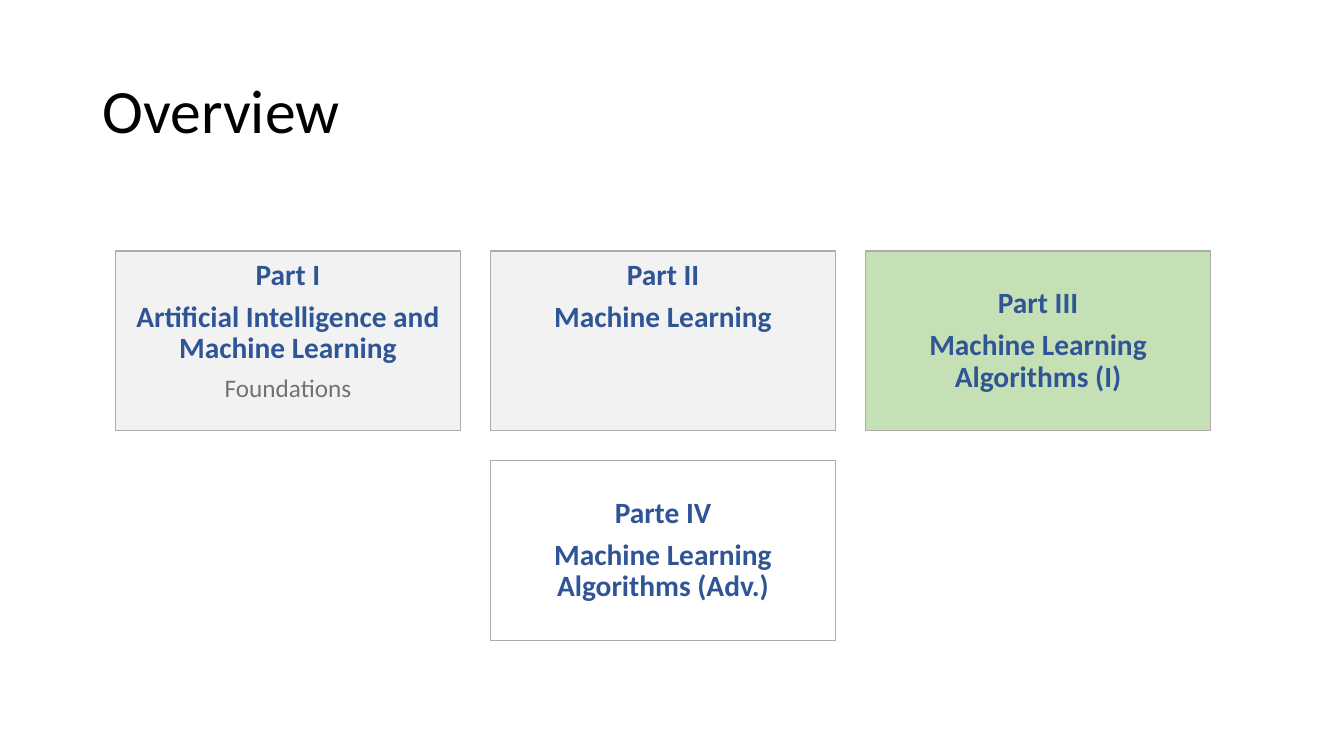
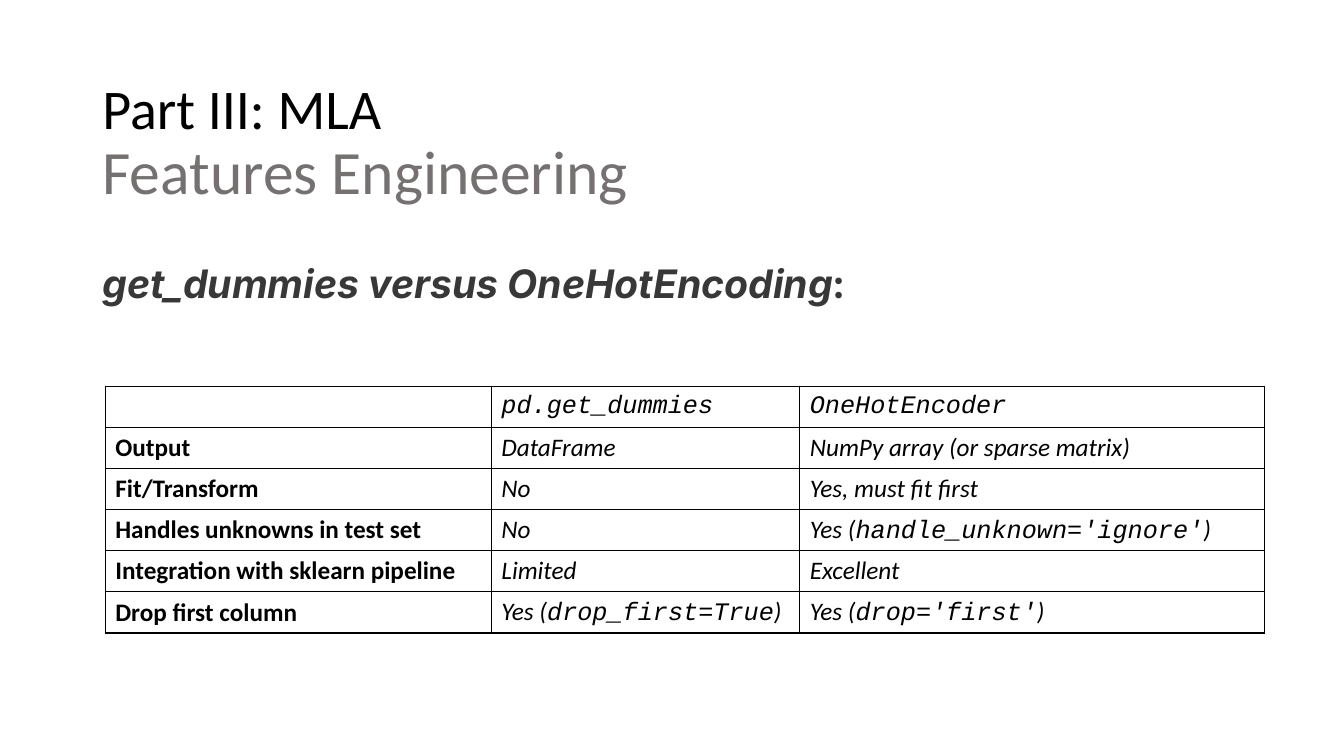
"""Build a course overview slide and a slide comparing two encoders."""
from pptx import Presentation
from pptx.dml.color import RGBColor
from pptx.enum.shapes import MSO_SHAPE
from pptx.enum.text import MSO_ANCHOR, MSO_AUTO_SIZE, PP_ALIGN
from pptx.oxml import parse_xml
from pptx.oxml.ns import nsdecls
from pptx.util import Pt

RECTANGLE = MSO_SHAPE.RECTANGLE
TOP, MIDDLE = MSO_ANCHOR.TOP, MSO_ANCHOR.MIDDLE
LEFT, CENTER = PP_ALIGN.LEFT, PP_ALIGN.CENTER
NO_AUTOFIT = MSO_AUTO_SIZE.NONE

COLORS = {
    "black": "000000",
    "white": "FFFFFF",
    "muted": "767171",
    "heading": "383838",
    "part": "2F5597",
    "outline": "AFABAB",
    "done": "F2F2F2",
    "current": "C5E0B4",
}
BODY_FONT, CODE_FONT, HEADING_FONT = "Calibri", "Courier New", "Inter"
TITLE_ONLY = 5

PARTS = [
    {"column": 0, "row": 0, "fill": "done", "anchor": TOP,
     "lines": ["Part I", "Artificial Intelligence and Machine Learning"],
     "note": "Foundations"},
    {"column": 1, "row": 0, "fill": "done", "anchor": TOP,
     "lines": ["Part II", "Machine Learning"]},
    {"column": 2, "row": 0, "fill": "current", "anchor": MIDDLE,
     "lines": ["Part III", "Machine Learning Algorithms (I)"]},
    {"column": 1, "row": 1, "fill": "white", "anchor": MIDDLE,
     "lines": ["Parte IV", "Machine Learning Algorithms (Adv.)"]},
]
PART_LEFT, PART_TOP = 82.6, 179.3
PART_WIDTH, PART_HEIGHT = 246.2, 128.2
COLUMN_STEP, ROW_STEP = 267.9, 149.8

# Backquotes mark code inside a cell.
COMPARISON = [
    ("", "`pd.get_dummies`", "`OneHotEncoder`"),
    ("Output", "DataFrame", "NumPy array (or sparse matrix)"),
    ("Fit/Transform", "No", "Yes, must fit first"),
    ("Handles unknowns in test set", "No", "Yes (`handle_unknown='ignore'`)"),
    ("Integration with sklearn pipeline", "Limited", "Excellent"),
    ("Drop first column", "Yes (`drop_first=True`)", "Yes (`drop='first'`)"),
]
COMPARISON_WIDTHS = [275.8, 220.3, 331.9]
COMPARISON_ROW_HEIGHT = 29.4


def add_text(paragraph, text, size=18, color="black", font=BODY_FONT,
             bold=False, italic=False):
    run = paragraph.add_run()
    run.text = text
    run.font.size = Pt(size)
    run.font.name = font
    run.font.bold = bold
    run.font.italic = italic
    run.font.color.rgb = RGBColor.from_string(COLORS[color])


def add_titled_slide(deck, height, title, title_size=44, subtitle=None):
    slide = deck.slides.add_slide(deck.slide_layouts[TITLE_ONLY])
    heading = slide.shapes.title
    heading.left, heading.top = Pt(66), Pt(28.8)
    heading.width, heading.height = Pt(828), Pt(height)
    frame = heading.text_frame
    frame.auto_size = NO_AUTOFIT
    frame.vertical_anchor = MIDDLE
    paragraph = frame.paragraphs[0]
    paragraph.alignment = LEFT
    paragraph.line_spacing = 0.9
    add_text(paragraph, title, size=title_size)
    if subtitle:
        paragraph.add_line_break()
        add_text(paragraph, subtitle, size=44, color="muted")
    return slide


def add_part(slide, part):
    box = slide.shapes.add_shape(
        RECTANGLE,
        Pt(PART_LEFT + part["column"] * COLUMN_STEP),
        Pt(PART_TOP + part["row"] * ROW_STEP),
        Pt(PART_WIDTH), Pt(PART_HEIGHT))
    box.shadow.inherit = False
    box.fill.solid()
    box.fill.fore_color.rgb = RGBColor.from_string(COLORS[part["fill"]])
    box.line.color.rgb = RGBColor.from_string(COLORS["outline"])
    box.line.width = Pt(1)
    frame = box.text_frame
    frame.word_wrap = True
    frame.vertical_anchor = part["anchor"]
    frame.margin_left = frame.margin_right = Pt(6)
    frame.margin_top = frame.margin_bottom = Pt(6.3)
    lines = [(line, {"size": 21, "color": "part", "bold": True})
             for line in part["lines"]]
    if "note" in part:
        lines.append((part["note"], {"color": "muted"}))
    for index, (line, style) in enumerate(lines):
        paragraph = frame.add_paragraph() if index else frame.paragraphs[0]
        paragraph.alignment = CENTER
        paragraph.line_spacing = 0.9
        paragraph.space_after = Pt(7.35)
        add_text(paragraph, line, **style)


def add_borders(cell):
    properties = cell._tc.get_or_add_tcPr()
    for side in ("lnL", "lnR", "lnT", "lnB"):
        properties.append(parse_xml(
            f'<a:{side} {nsdecls("a")} w="{Pt(1)}"><a:solidFill>'
            f'<a:srgbClr val="{COLORS["black"]}"/></a:solidFill></a:{side}>'))


def add_comparison(slide):
    table = slide.shapes.add_table(
        len(COMPARISON), len(COMPARISON_WIDTHS), Pt(75.2), Pt(275.8),
        Pt(sum(COMPARISON_WIDTHS)),
        Pt(COMPARISON_ROW_HEIGHT * len(COMPARISON))).table
    table.first_row = table.horz_banding = False
    for column, width in zip(table.columns, COMPARISON_WIDTHS):
        column.width = Pt(width)
    for row, texts in zip(table.rows, COMPARISON):
        row.height = Pt(COMPARISON_ROW_HEIGHT)
        for index, (cell, text) in enumerate(zip(row.cells, texts)):
            add_borders(cell)
            cell.fill.solid()
            cell.fill.fore_color.rgb = RGBColor.from_string(COLORS["white"])
            cell.vertical_anchor = MIDDLE
            paragraph = cell.text_frame.paragraphs[0]
            for position, piece in enumerate(text.split("`")):
                if piece:
                    add_text(paragraph, piece, bold=index == 0, italic=index > 0,
                             font=CODE_FONT if position % 2 else BODY_FONT)


def add_heading(slide, text, ending):
    frame = slide.shapes.add_textbox(
        Pt(66), Pt(188), Pt(818.6), Pt(54.7)).text_frame
    frame.word_wrap = True
    paragraph = frame.paragraphs[0]
    paragraph.line_spacing = Pt(27)
    style = {"size": 28, "color": "heading", "font": HEADING_FONT, "bold": True}
    add_text(paragraph, text, italic=True, **style)
    add_text(paragraph, ending, **style)


def main():
    deck = Presentation()
    deck.slide_width, deck.slide_height = Pt(960), Pt(540)

    overview = add_titled_slide(deck, 104.4, "Overview")
    for part in PARTS:
        add_part(overview, part)

    encoders = add_titled_slide(deck, 148.3, "Part III: MLA", title_size=40,
                                subtitle="Features Engineering")
    add_heading(encoders, "get_dummies versus OneHotEncoding", ":")
    add_comparison(encoders)

    deck.save("out.pptx")


if __name__ == "__main__":
    main()
